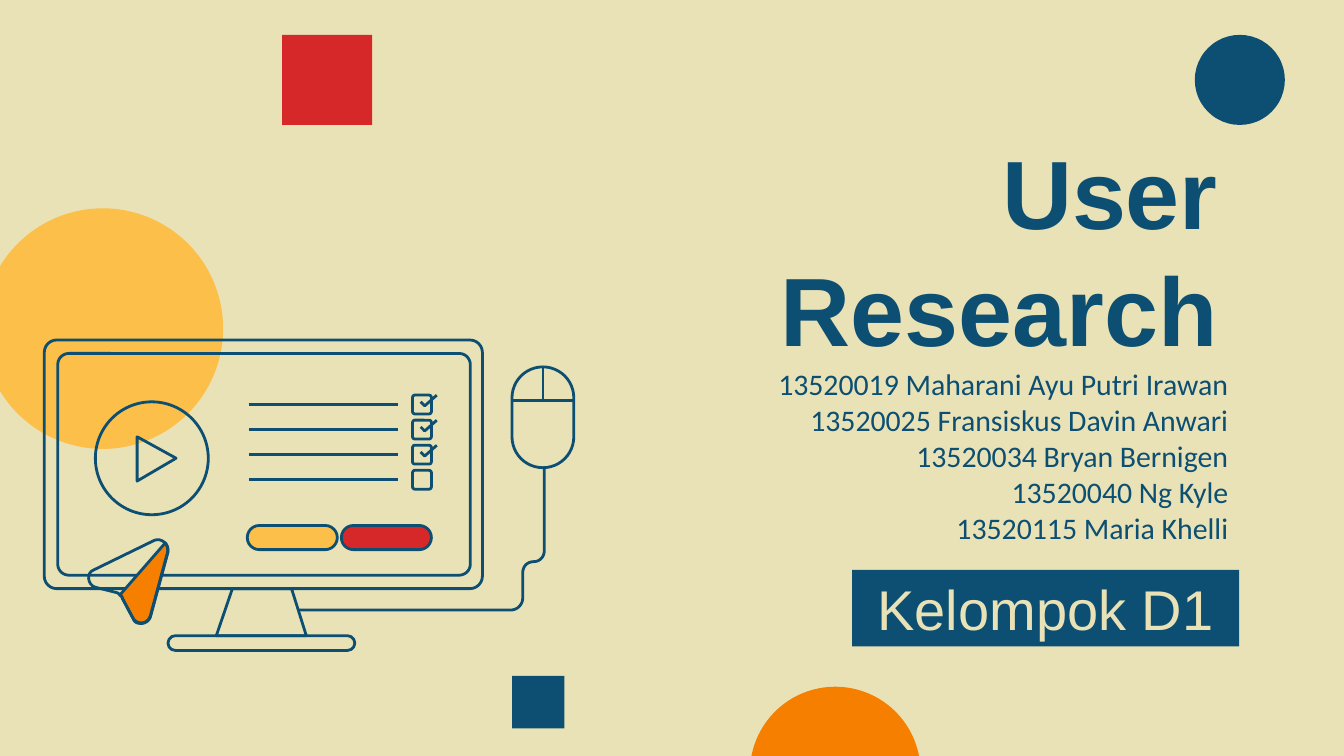
"""Build the User Research cover slide."""
from dataclasses import dataclass

from lxml import etree
from pptx import Presentation
from pptx.dml.color import RGBColor
from pptx.enum.shapes import MSO_CONNECTOR, MSO_SHAPE
from pptx.enum.text import MSO_ANCHOR, MSO_AUTO_SIZE, PP_ALIGN
from pptx.oxml.ns import qn
from pptx.util import Inches, Pt

RECT, OVAL, ROUNDED = MSO_SHAPE.RECTANGLE, MSO_SHAPE.OVAL, MSO_SHAPE.ROUNDED_RECTANGLE
STRAIGHT = MSO_CONNECTOR.STRAIGHT
MIDDLE, BOTTOM = MSO_ANCHOR.MIDDLE, MSO_ANCHOR.BOTTOM
RIGHT, CENTER = PP_ALIGN.RIGHT, PP_ALIGN.CENTER
NO_AUTOFIT = MSO_AUTO_SIZE.NONE


@dataclass(frozen=True)
class Theme:
    """Colours, fonts and sizes of the slide."""
    cream: str = "EAE2B7"
    navy: str = "0C4F72"
    red: str = "D62828"
    orange: str = "F77F00"
    yellow: str = "FCBF49"
    heading_font: str = "Arial"
    body_font: str = "Calibri"
    title_size: float = 52
    label_size: float = 30
    member_size: float = 16
    stroke: float = 1.5


THEME = Theme()
SLIDE_WIDTH = 10
SLIDE_HEIGHT = SLIDE_WIDTH * 9 / 16
MEMBERS = [
    "13520019 Maharani Ayu Putri Irawan",
    "13520025 Fransiskus Davin Anwari",
    "13520034 Bryan Bernigen\v13520040 Ng Kyle",
    "13520115 Maria Khelli",
]
ROW_COUNT = 4
ROW_STEP = 0.56 / 3
CURVE_STEPS = 8

CURSOR_WING = [
    (0.7, 4.24), (1.15, 4.02), (1.2, 4, 1.26, 4.05, 1.25, 4.1), (1.12, 4.58),
    (1.1, 4.65, 1.02, 4.65, 0.99, 4.6), (0.91, 4.45),
    (0.91, 4.44, 0.9, 4.43, 0.89, 4.42), (0.88, 4.42, 0.88, 4.41, 0.87, 4.41),
    (0.71, 4.37), (0.65, 4.35, 0.64, 4.26, 0.7, 4.24),
]
CURSOR_FOLD = [
    (1.23, 4.04), (1.24, 4.05, 1.25, 4.08, 1.25, 4.11), (1.12, 4.59),
    (1.11, 4.62, 1.08, 4.64, 1.05, 4.64), (1.02, 4.64, 1, 4.63, 0.99, 4.6),
    (0.91, 4.45), (0.91, 4.44, 0.9, 4.43, 0.89, 4.43),
]
MOUSE_CABLE = [
    (4.05, 3.48), (4.05, 4.1), (4.05, 4.14, 4.02, 4.18, 3.97, 4.18),
    (3.92, 4.18, 3.89, 4.22, 3.89, 4.26), (3.89, 4.45),
    (3.89, 4.5, 3.85, 4.54, 3.8, 4.54), (2.22, 4.54),
]
MONITOR_NECK = [(2.28, 4.73), (2.17, 4.38), (1.73, 4.38), (1.61, 4.73)]
PLAY_TRIANGLE = [(1.31, 3.41), (1.02, 3.25), (1.02, 3.58)]


def set_values(target, values):
    """Set each named value on the target."""
    for name, value in values.items():
        setattr(target, name, value)


def paint(shape, fill=None, stroke=None):
    """Give a shape its fill and outline, or neither."""
    shape.shadow.inherit = False
    if fill:
        shape.fill.solid()
        shape.fill.fore_color.rgb = RGBColor.from_string(fill)
    else:
        shape.fill.background()
    if stroke:
        shape.line.color.rgb = RGBColor.from_string(stroke)
        shape.line.width = Pt(THEME.stroke)
    else:
        shape.line.fill.background()
    return shape


def add_block(shapes, kind, box, fill=None, stroke=None, radius=None):
    """Add a preset shape at left, top, width, height."""
    block = shapes.add_shape(kind, *map(Inches, box))
    if radius is not None:
        block.adjustments[0] = radius
    return paint(block, fill, stroke)


def add_rule(shapes, start, end):
    """Add a straight navy line."""
    rule = shapes.add_connector(STRAIGHT, *map(Inches, start + end))
    rule.line.color.rgb = RGBColor.from_string(THEME.navy)
    rule.line.width = Pt(THEME.stroke)
    etree.SubElement(rule._element.spPr, qn("a:effectLst"))


def flatten(path):
    """Turn points and cubic curves into a list of points."""
    points = [path[0]]
    for step in path[1:]:
        if len(step) == 2:
            points.append(step)
            continue
        corners = [points[-1], step[:2], step[2:4], step[4:]]
        for index in range(1, CURVE_STEPS + 1):
            t = index / CURVE_STEPS
            weights = ((1 - t) ** 3, 3 * t * (1 - t) ** 2, 3 * t * t * (1 - t), t ** 3)
            points.append(tuple(
                sum(w * corner[axis] for w, corner in zip(weights, corners))
                for axis in (0, 1)))
    return points


def add_outline(shapes, path, fill=None, close=True):
    """Add a navy freeform along the path."""
    first, *rest = [(Inches(x), Inches(y)) for x, y in flatten(path)]
    builder = shapes.build_freeform(*first)
    builder.add_line_segments(rest, close=close)
    paint(builder.convert_to_shape(), fill, THEME.navy)


def write(shape, lines, font, size, color, anchor, align, bold=False):
    """Write the lines into a shape with one format."""
    frame = shape.text_frame
    frame.text = "\n".join(lines)
    margins = {f"margin_{side}": Inches(0.1) for side in ("left", "top", "right", "bottom")}
    set_values(frame, {"word_wrap": True, "auto_size": NO_AUTOFIT,
                       "vertical_anchor": anchor, **margins})
    for paragraph in frame.paragraphs:
        set_values(paragraph, {"alignment": align, "line_spacing": 1.0,
                               "space_before": Pt(0)})
        for run in paragraph.runs:
            set_values(run.font, {"name": font, "size": Pt(size), "bold": bold})
            run.font.color.rgb = RGBColor.from_string(color)


def place(shape, box):
    """Move a placeholder to left, top, width, height."""
    set_values(shape, dict(zip(("left", "top", "width", "height"), map(Inches, box))))


def add_decorations(shapes):
    """Add the flat background shapes."""
    add_block(shapes, OVAL, (5.58, 5.11, 1.27, 1.27), THEME.orange)
    add_block(shapes, RECT, (2.1, 0.26, 0.67, 0.67), THEME.red)
    add_block(shapes, RECT, (3.81, 5.03, 0.39, 0.39), THEME.navy)
    add_block(shapes, OVAL, (8.89, 0.26, 0.67, 0.67), THEME.navy)
    add_block(shapes, OVAL, (-0.13, 1.55, 1.79, 1.79), THEME.yellow)


def add_checklist(shapes):
    """Add the rows of lines and boxes, all but the last ticked."""
    for row in range(ROW_COUNT):
        top = 2.94 + row * ROW_STEP
        add_block(shapes, ROUNDED, (3.07, top, 0.14, 0.14), stroke=THEME.navy, radius=0.12)
        add_rule(shapes, (1.85, top + 0.07), (2.96, top + 0.07))
        if row < ROW_COUNT - 1:
            tick = [(3.13, top + 0.05), (3.16, top + 0.08), (3.25, top)]
            add_outline(shapes, tick, close=False)


def add_computer(shapes):
    """Add the monitor, its screen content, the cursor and the mouse."""
    add_outline(shapes, MONITOR_NECK)
    for frame in ((0.43, 2.63, 3.07, 1.65), (0.33, 2.53, 3.26, 1.85)):
        add_block(shapes, ROUNDED, frame, stroke=THEME.navy, radius=0.05)
    add_checklist(shapes)
    add_outline(shapes, CURSOR_FOLD, THEME.orange)
    add_outline(shapes, CURSOR_WING)
    add_block(shapes, OVAL, (0.71, 2.99, 0.84, 0.84), stroke=THEME.navy)
    add_outline(shapes, PLAY_TRIANGLE)
    for left, fill in ((2.54, THEME.red), (1.84, THEME.yellow)):
        add_block(shapes, ROUNDED, (left, 3.91, 0.67, 0.18), fill, THEME.navy, 0.5)
    add_block(shapes, ROUNDED, (3.81, 2.73, 0.46, 0.75), stroke=THEME.navy, radius=0.5)
    add_rule(shapes, (3.81, 2.98), (4.27, 2.98))
    add_rule(shapes, (4.04, 2.73), (4.04, 2.97))
    add_outline(shapes, MOUSE_CABLE, close=False)
    add_block(shapes, ROUNDED, (1.25, 4.73, 1.39, 0.11), stroke=THEME.navy, radius=0.5)


def main():
    """Build and save the slide."""
    deck = Presentation()
    set_values(deck, {"slide_width": Inches(SLIDE_WIDTH), "slide_height": Inches(SLIDE_HEIGHT)})
    slide = deck.slides.add_slide(deck.slide_layouts[0])
    slide.background.fill.solid()
    slide.background.fill.fore_color.rgb = RGBColor.from_string(THEME.cream)
    add_decorations(slide.shapes)
    title, members = slide.placeholders
    place(title, (4.19, 1.88, 4.97, 0.94))
    write(title, ["User Research"], THEME.heading_font, THEME.title_size, THEME.navy,
          BOTTOM, RIGHT, bold=True)
    place(members, (4.27, 2.53, 4.97, 1.72))
    write(members, MEMBERS, THEME.body_font, THEME.member_size, THEME.navy, MIDDLE, RIGHT)
    add_computer(slide.shapes.add_group_shape().shapes)
    group_label = add_block(slide.shapes, RECT, (6.34, 4.24, 2.88, 0.57), THEME.navy)
    write(group_label, ["Kelompok D1"], THEME.heading_font, THEME.label_size, THEME.cream,
          MIDDLE, CENTER)
    deck.save("out.pptx")


if __name__ == "__main__":
    main()
